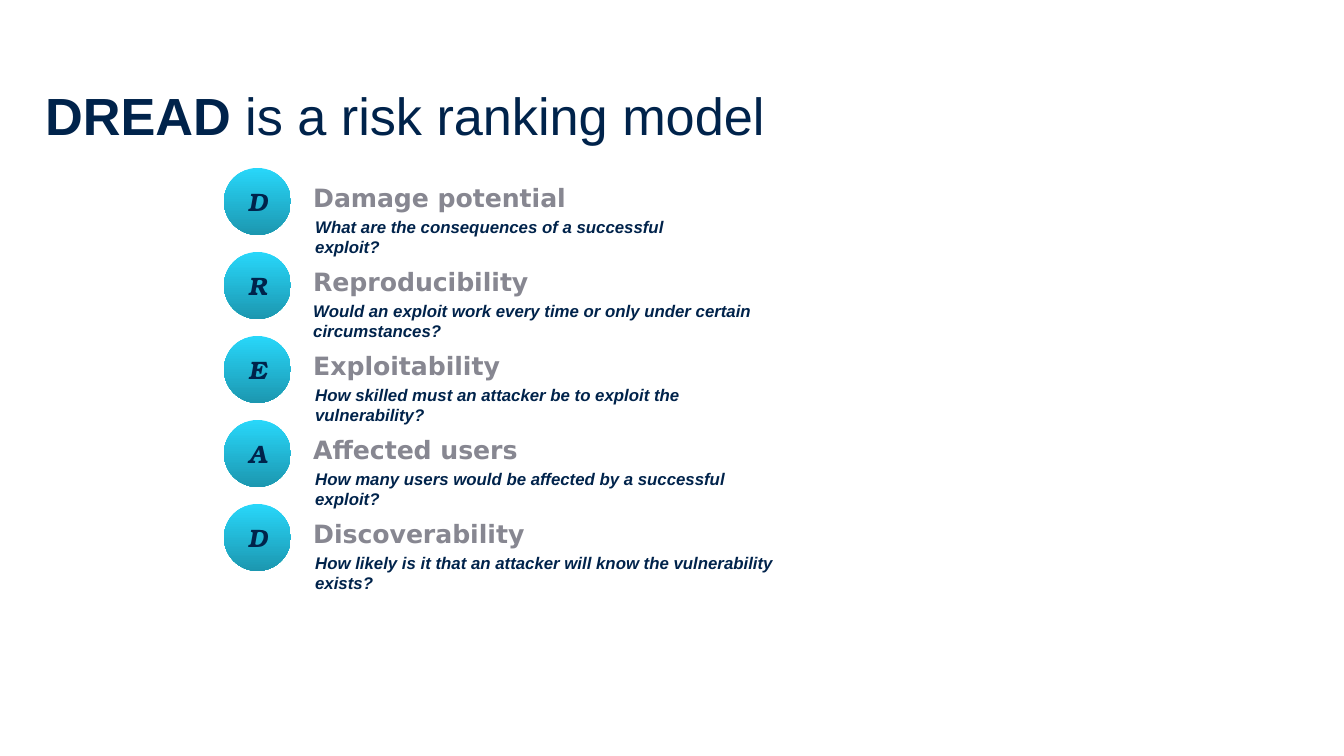
"""Build a slide that explains the DREAD risk ranking model."""
import dataclasses

import pptx
import pptx.dml.color
import pptx.enum.shapes
import pptx.enum.text
import pptx.util

EMU_PER_PX = 914400 / 134.4
TOP, PITCH = 168, 84
BADGE_LEFT, BADGE_SIZE = 224, 67
HEADING_LEFT, HEADING_DROP, HEADING_HEIGHT = 300, 8, 44
QUESTION_DROP, QUESTION_HEIGHT = 42, 34

# letter, heading, heading width, question, question left, question width
RISKS = [
    ("D", "Damage potential", 281,
     "What are the consequences of a successful exploit?", 302, 384),
    ("R", "Reproducibility", 243,
     "Would an exploit work every time or only under certain circumstances?", 300, 526),
    ("E", "Exploitability", 215,
     "How skilled must an attacker be to exploit the vulnerability?", 302, 450),
    ("A", "Affected users", 234,
     "How many users would be affected by a successful exploit?", 302, 441),
    ("D", "Discoverability", 239,
     "How likely is it that an attacker will know the vulnerability exists?", 302, 489),
]


@dataclasses.dataclass(frozen=True)
class Theme:
    navy: str = "00234B"
    grey: str = "878791"
    badge_stops: tuple = ("28D7FA", "1C97B0")
    title_size: float = 28
    heading_size: float = 13.5
    question_size: float = 9

    def style(self, name, size, color, bold=True, italic=False):
        return {"name": name, "size": pptx.util.Pt(size), "color": color,
                "bold": bold, "italic": italic}

    @property
    def title(self):
        return self.style("Arial", self.title_size, self.navy)

    @property
    def badge(self):
        return self.style("TeX Gyre Bonum", self.heading_size, self.navy, italic=True)

    @property
    def heading(self):
        return self.style("DejaVu Sans", self.heading_size, self.grey)

    @property
    def question(self):
        return self.style("Arial", self.question_size, self.navy, italic=True)


THEME = Theme()


def px(*lengths):
    return [pptx.util.Emu(round(length * EMU_PER_PX)) for length in lengths]


def rgb(code):
    return pptx.dml.color.RGBColor.from_string(code)


def add_span(para, text, style):
    span = para.add_run()
    span.text = text
    for key, value in style.items():
        if key == "color":
            span.font.color.rgb = rgb(value)
        else:
            setattr(span.font, key, value)


def add_text(page, bounds, *spans):
    frame = page.shapes.add_textbox(*px(*bounds)).text_frame
    frame.word_wrap = True
    frame.auto_size = pptx.enum.text.MSO_AUTO_SIZE.SHAPE_TO_FIT_TEXT
    for text, style in spans:
        add_span(frame.paragraphs[0], text, style)


def add_badge(page, top, letter):
    bounds = px(BADGE_LEFT, top, BADGE_SIZE, BADGE_SIZE)
    badge = page.shapes.add_shape(pptx.enum.shapes.MSO_SHAPE.OVAL, *bounds)
    badge.shadow.inherit = False
    badge.line.fill.background()
    badge.fill.gradient()
    badge.fill.gradient_angle = 270
    for position, (stop, code) in enumerate(zip(badge.fill.gradient_stops, THEME.badge_stops)):
        stop.position = position
        stop.color.rgb = rgb(code)
    badge.text_frame.vertical_anchor = pptx.enum.text.MSO_ANCHOR.MIDDLE
    para = badge.text_frame.paragraphs[0]
    para.alignment = pptx.enum.text.PP_ALIGN.CENTER
    add_span(para, letter, THEME.badge)


def add_risk(page, top, letter, heading, heading_width, question, left, width):
    add_badge(page, top, letter)
    add_text(page, (HEADING_LEFT, top + HEADING_DROP, heading_width, HEADING_HEIGHT),
             (heading, THEME.heading))
    add_text(page, (left, top + QUESTION_DROP, width, QUESTION_HEIGHT),
             (question, THEME.question))


def main():
    deck = pptx.Presentation()
    deck.slide_width, deck.slide_height = px(1344, 756)
    page = deck.slides.add_slide(deck.slide_layouts[6])
    for row, risk in enumerate(RISKS):
        add_risk(page, TOP + row * PITCH, *risk)
    add_text(page, (32, 77, 750, 76), ("DREAD", THEME.title),
             (" is a risk ranking model", {**THEME.title, "bold": False}))
    deck.save("out.pptx")


if __name__ == "__main__":
    main()
